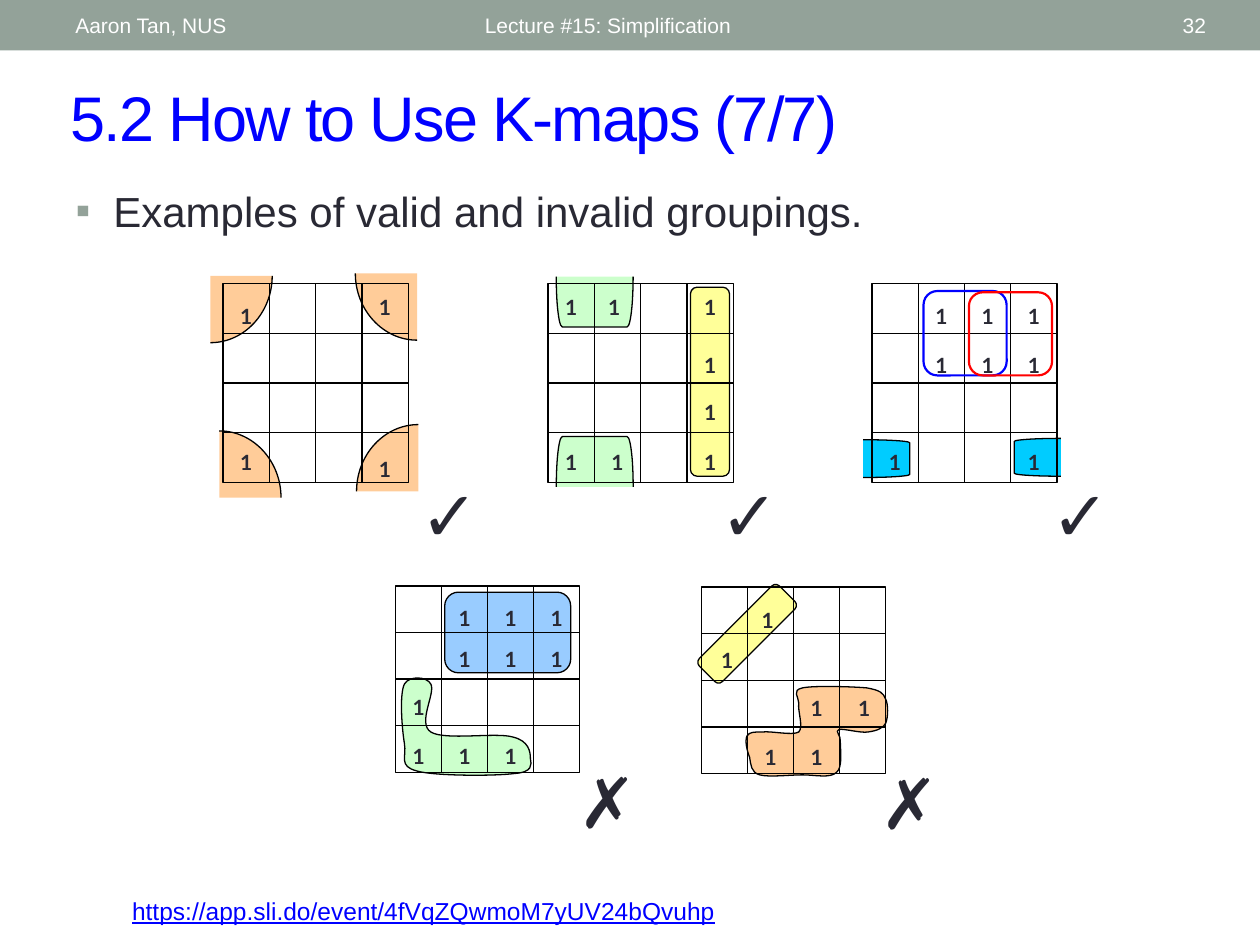
from copy import deepcopy

from lxml import etree
from pptx import Presentation
from pptx.dml.color import RGBColor
from pptx.enum.shapes import MSO_CONNECTOR, MSO_SHAPE
from pptx.enum.text import MSO_ANCHOR, MSO_AUTO_SIZE, PP_ALIGN
from pptx.oxml.ns import qn
from pptx.util import Inches, Pt

RECT, ROUND = MSO_SHAPE.RECTANGLE, MSO_SHAPE.ROUNDED_RECTANGLE
OPEN_RIGHT, OPEN_LEFT = MSO_SHAPE.LEFT_BRACKET, MSO_SHAPE.RIGHT_BRACKET
STRAIGHT = MSO_CONNECTOR.STRAIGHT
LEFT, CENTER, RIGHT = PP_ALIGN.LEFT, PP_ALIGN.CENTER, PP_ALIGN.RIGHT
TOP, MIDDLE = MSO_ANCHOR.TOP, MSO_ANCHOR.MIDDLE

COLORS = {
    "band": "93A299", "ink": "292934", "white": "FFFFFF", "black": "000000",
    "blue": "0000FF", "red": "FF0000", "orange": "FFCC99", "green": "CCFFCC",
    "yellow": "FFFF99", "cyan": "00CCFF", "sky": "99CCFF",
}
TITLE = "5.2 How to Use K-maps (7/7)"
BULLET = "Examples of valid and invalid groupings."
LINK = "https://app.sli.do/event/4fVqZQwmoM7yUV24bQvuhp"
HEADER = [
    ("Lecture #15: Simplification", 3.75, 4.5, LEFT),
    ("32", 8.72, 0.95, RIGHT),
    ("Aaron Tan, NUS", 0.5, 3.17, LEFT),
]

L_BLOB = [
    (4.08, 6.14),
    (3.93, 6.16), (3.45, 6.16), (3.31, 6.12), (3.16, 6.08), (3.23, 6.01), (3.21, 5.9),
    (3.19, 5.78), (3.17, 5.51), (3.21, 5.43), (3.25, 5.36), (3.39, 5.37), (3.42, 5.43),
    (3.46, 5.5), (3.31, 5.74), (3.42, 5.81), (3.53, 5.88), (3.94, 5.81), (4.07, 5.85),
    (4.2, 5.88), (4.21, 5.97), (4.21, 6.02), (4.22, 6.07), (4.23, 6.13), (4.08, 6.14),
]
S_BLOB = [
    (6.88, 5.46),
    (6.77, 5.45), (6.46, 5.44), (6.37, 5.46), (6.28, 5.48), (6.34, 5.53), (6.34, 5.58),
    (6.33, 5.64), (6.38, 5.77), (6.34, 5.81), (6.29, 5.84), (6.12, 5.8), (6.05, 5.81),
    (5.98, 5.81), (5.95, 5.81), (5.93, 5.84), (5.91, 5.88), (5.93, 5.96), (5.95, 6.01),
    (5.96, 6.07), (5.96, 6.13), (6.03, 6.15), (6.1, 6.17), (6.27, 6.15), (6.37, 6.15),
    (6.47, 6.15), (6.59, 6.18), (6.64, 6.13), (6.69, 6.09), (6.67, 5.95), (6.67, 5.89),
    (6.68, 5.84), (6.62, 5.8), (6.66, 5.79), (6.69, 5.78), (6.83, 5.82), (6.89, 5.81),
    (6.96, 5.8), (7.01, 5.78), (7.03, 5.74), (7.05, 5.69), (7.05, 5.59), (7.03, 5.55),
    (7.01, 5.5), (6.99, 5.48), (6.88, 5.46),
]
UPPER, LOWER = (1.47, 1.58), (1.46, 1.48)
CORNER_W, CORNER_H = 0.49, 0.53

# ones: (row, drop below the row line, columns)
MAPS = [
    dict(at=(4.35, 2.25), size=UPPER, mark="✓", mark_box=(5.62, 3.69, 0.56, 0.77),
         loops=[(ROUND, (5.48, 2.28, 0.31, 1.5), "yellow", 0, 0.17),
                (OPEN_RIGHT, (4.52, 3.36, 0.4, 0.61), "green", 90, 0.12),
                (OPEN_RIGHT, (4.52, 2.09, 0.4, 0.61), "green", 270, 0.12)],
         ones=[(0, 0.04, [0, 0.93, 3]), (1, 0.1, [3]), (2, 0.08, [3]),
               (3, 0.08, [0, 1, 3])]),
    dict(at=(6.92, 2.25), size=UPPER, mark="✓", mark_box=(8.25, 3.69, 0.56, 0.77),
         loops=[(OPEN_RIGHT, (8.05, 3.48, 0.37, 0.3), "cyan", 0, 0.08),
                (OPEN_LEFT, (6.85, 3.49, 0.37, 0.3), "cyan", 0, 0.08)],
         rings=[((7.33, 2.31, 0.66, 0.67), "blue"), ((7.69, 2.32, 0.66, 0.66), "red")],
         ones=[(0, 0.11, [1, 2, 3]), (1, 0.1, [1, 2, 3]), (3, 0.08, [0, 3])]),
    dict(at=(1.77, 2.25), size=UPPER, mark="✓", mark_box=(3.24, 3.69, 0.56, 0.77),
         corners=[(3.32, 3.9, -1, -1), (1.74, 3.95, 1, -1),
                  (1.67, 2.19, 1, 1), (3.31, 2.17, -1, 1)],
         ones=[(0, 0.11, [0]), (0, 0.04, [3]), (3, 0.08, [0]), (3, 0.14, [3])]),
    dict(at=(3.14, 4.65), size=LOWER, mark="✗", mark_box=(4.49, 5.97, 0.45, 0.77),
         loops=[(ROUND, (3.53, 4.7, 1, 0.64), "sky", 0, 0.17)],
         blob=(L_BLOB, "green"),
         ones=[(0, 0.11, [1, 2, 3]), (1, 0.06, [1, 2, 3]), (2, 0.07, [0]),
               (3, 0.09, [0, 1, 2])]),
    dict(at=(5.57, 4.66), size=LOWER, mark="✗", mark_box=(6.89, 5.98, 0.45, 0.77),
         loops=[(ROUND, (5.48, 4.9, 0.9, 0.26), "yellow", 315, 0.17)],
         blob=(S_BLOB, "orange"),
         ones=[(0, 0.11, [0.93]), (1, 0.06, [0.05]), (2, 0.07, [2, 3.03]),
               (3, 0.09, [1, 2])]),
]


def color(name):
    return RGBColor.from_string(COLORS[name])


def paint(shape, fill, line="black", width=0.75):
    shape.shadow.inherit = False
    if fill:
        shape.fill.solid()
        shape.fill.fore_color.rgb = color(fill)
    else:
        shape.fill.background()
    if line:
        shape.line.color.rgb = color(line)
        shape.line.width = Pt(width)
    else:
        shape.line.fill.background()


def outline(parent, preset, box, fill, line="black", width=0.75):
    shape = parent.add_shape(preset, *map(Inches, box))
    paint(shape, fill, line, width)
    return shape


def write(holder, text, size, ink, font="Arial", align=LEFT, anchor=TOP, wrap=True):
    frame = holder.text_frame
    frame.word_wrap = wrap
    frame.auto_size = MSO_AUTO_SIZE.NONE
    frame.vertical_anchor = anchor
    paragraph = frame.paragraphs[0]
    paragraph.alignment = align
    paragraph.space_before = Pt(0)
    run = paragraph.add_run()
    run.text = text
    run.font.size = Pt(size)
    run.font.name = font
    run.font.color.rgb = color(ink)
    return run


def label(parent, box, *args, **kwargs):
    return write(parent.add_textbox(*map(Inches, box)), *args, **kwargs)


def place(holder, box):
    holder.left, holder.top, holder.width, holder.height = map(Inches, box)


def rule(parent, x1, y1, x2, y2):
    line = parent.add_connector(STRAIGHT, *map(Inches, (x1, y1, x2, y2)))
    line.line.color.rgb = color("black")
    line.line.width = Pt(0.75)
    etree.SubElement(line._element.spPr, qn("a:effectLst"))


def curved(parent, points, fill):
    pairs = [tuple(map(Inches, point)) for point in points]
    builder = parent.build_freeform(*pairs[0])
    builder.add_line_segments(pairs[1:], close=True)
    shape = builder.convert_to_shape()
    paint(shape, fill)
    path_element = shape._element.spPr.find(".//" + qn("a:path"))
    segments = path_element.findall(qn("a:lnTo"))
    for i in range(0, len(segments) - 2, 3):
        curve = etree.Element(qn("a:cubicBezTo"))
        segments[i].addprevious(curve)
        for segment in segments[i:i + 3]:
            curve.append(segment[0])
            path_element.remove(segment)
    return path_element


def corner(parent, cx, cy, dx, dy):
    w, h = dx * CORNER_W, dy * CORNER_H
    points = [(cx, cy + h), (cx + 0.55 * w, cy + h), (cx + w, cy + 0.55 * h),
              (cx + w, cy), (cx, cy)]
    wedge = curved(parent, points, "orange")
    arc = deepcopy(wedge)
    for tag in ("a:lnTo", "a:close"):
        arc.remove(arc.find(qn(tag)))
    arc.set("fill", "none")
    wedge.set("stroke", "0")
    wedge.addprevious(arc)


def draw_map(slide, kmap):
    parent = slide.shapes.add_group_shape().shapes
    (x, y), (width, height) = kmap["at"], kmap["size"]
    cell_w, cell_h = width / 4, height / 4
    for spot in kmap.get("corners", []):
        corner(parent, *spot)
    if "blob" in kmap:
        curved(parent, *kmap["blob"])
    for preset, box, fill, angle, bend in kmap.get("loops", []):
        loop = outline(parent, preset, box, fill)
        loop.rotation = angle
        loop.adjustments[0] = bend
    outline(parent, RECT, (x, y, width, height), None)
    for i in (1, 2, 3):
        rule(parent, x, y + i * cell_h, x + width, y + i * cell_h)
        rule(parent, x + i * cell_w, y, x + i * cell_w, y + height)
    for row, drop, columns in kmap["ones"]:
        for column in columns:
            box = (x + column * cell_w, y + row * cell_h + drop, cell_w, cell_h - drop)
            label(parent, box, "1", 12, "ink", font="Lato", align=CENTER).font.bold = True
    for box, line in kmap.get("rings", []):
        outline(parent, ROUND, box, None, line, 1.25)
    label(parent, kmap["mark_box"], kmap["mark"], 40, "ink", wrap=False)


def main():
    deck = Presentation()
    deck.slide_width, deck.slide_height = Inches(10), Inches(7.5)
    slide = deck.slides.add_slide(deck.slide_layouts[1])
    outline(slide.shapes, RECT, (0, 0, 10, 0.4), "band", None)
    label(slide.shapes, (0.95, 7.06, 6.5, 0.34), LINK, 14, "blue").font.underline = True
    for text, left, width, align in HEADER:
        label(slide.shapes, (left, 0.02, width, 0.36), text, 12, "white", align=align,
              anchor=MIDDLE)

    title, body = slide.shapes.title, slide.placeholders[1]
    place(title, (0.46, 0.57, 9.07, 0.7))
    heading = write(title, TITLE, 36, "blue", anchor=MIDDLE)
    heading.font._element.set("spc", "-100")

    place(body, (0.5, 1.42, 9, 0.76))
    props = body.text_frame.paragraphs[0]._p.get_or_add_pPr()
    props.set("marL", str(Inches(0.3)))
    props.set("indent", str(-Inches(0.3)))
    bullet_color = etree.SubElement(props, qn("a:buClr"))
    etree.SubElement(bullet_color, qn("a:srgbClr"), val=COLORS["band"])
    etree.SubElement(props, qn("a:buChar"), char="▪")
    write(body, BULLET, 24, "ink")

    for kmap in MAPS:
        draw_map(slide, kmap)
    deck.save("out.pptx")


if __name__ == "__main__":
    main()
